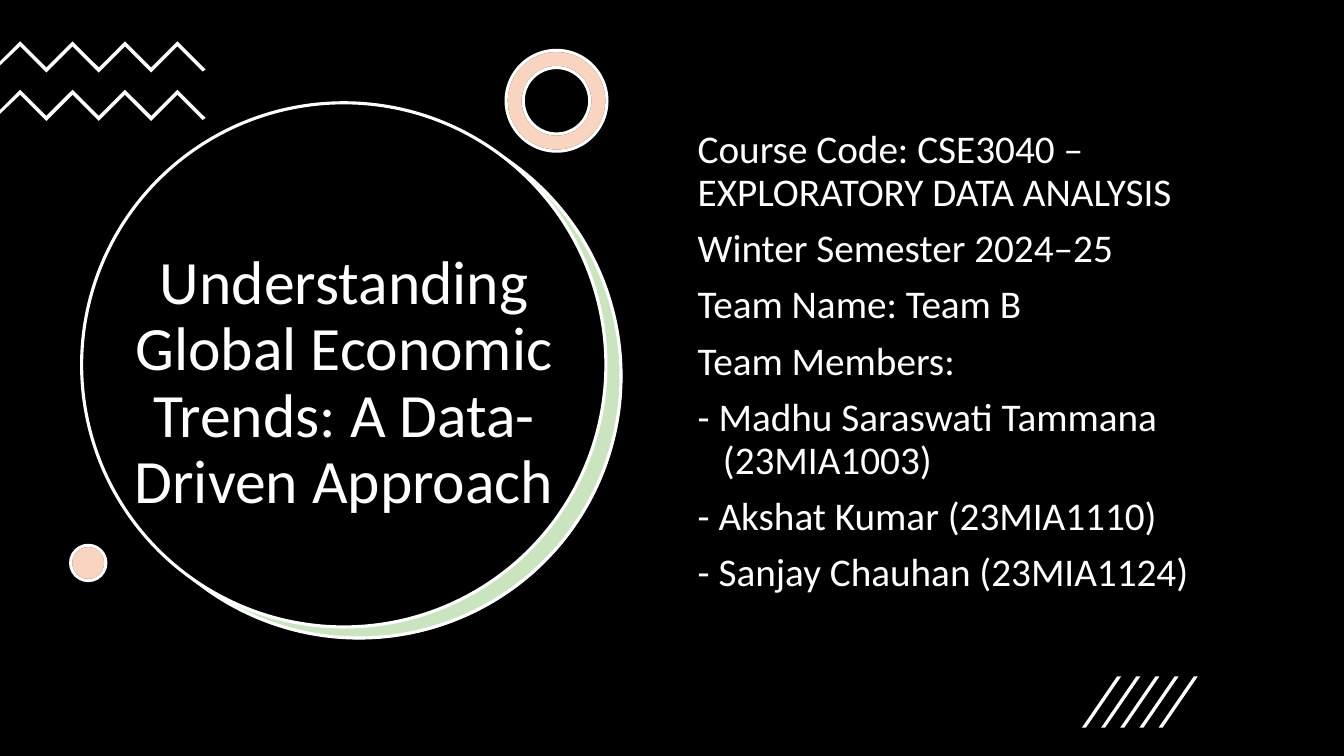
from pptx import Presentation
from pptx.dml.color import RGBColor
from pptx.enum.shapes import MSO_SHAPE
from pptx.enum.text import MSO_ANCHOR, MSO_AUTO_SIZE, PP_ALIGN
from pptx.oxml.ns import qn
from pptx.util import Inches, Pt
from lxml import etree

RECT, OVAL, DONUT = MSO_SHAPE.RECTANGLE, MSO_SHAPE.OVAL, MSO_SHAPE.DONUT
MIDDLE, TOP = MSO_ANCHOR.MIDDLE, MSO_ANCHOR.TOP
LEFT, CENTER = PP_ALIGN.LEFT, PP_ALIGN.CENTER
NO_FIT = MSO_AUTO_SIZE.NONE
BLACK, WHITE, GREEN, ORANGE = "000000", "FFFFFF", "4EA72E", "E97132"
FONT = "Calibri"

TITLE = "Understanding Global Economic Trends: A Data-Driven Approach"
COURSE = [
    "Course Code: CSE3040 – EXPLORATORY DATA ANALYSIS",
    "Winter Semester 2024–25",
    "Team Name: Team B",
]
TEAM = [
    "Team Members:",
    "- Madhu Saraswati Tammana (23MIA1003)",
    "- Akshat Kumar (23MIA1110)",
    "- Sanjay Chauhan (23MIA1124)",
]


def paint(sp, fill, line=None, alpha=None):
    """Fill and outline a shape; alpha is the fill opacity in percent."""
    sp.shadow.inherit = False
    sp.fill.solid()
    sp.fill.fore_color.rgb = RGBColor.from_string(fill)
    if alpha is not None:
        color = sp.element.spPr.find(qn("a:solidFill"))[0]
        etree.SubElement(color, qn("a:alpha")).set("val", str(alpha * 1000))
    if line:
        sp.line.color.rgb = RGBColor.from_string(line)
        sp.line.width = Pt(2.25)
    else:
        sp.line.fill.background()


def add_preset(s, kind, x, y, w, h, fill, line=None, alpha=None):
    sp = s.shapes.add_shape(kind, Inches(x), Inches(y), Inches(w), Inches(h))
    paint(sp, fill, line, alpha)
    return sp


def add_outline(group, points):
    points = [(Inches(x), Inches(y)) for x, y in points]
    builder = group.shapes.build_freeform(*points[0])
    builder.add_line_segments(points[1:], close=True)
    paint(builder.convert_to_shape(), WHITE)


def add_tinted(s, kind, x, y, size):
    """Orange tint laid over a white base of the same form."""
    base = add_preset(s, kind, x, y, size, size, WHITE, BLACK)
    tint = add_preset(s, kind, x, y, size, size, ORANGE, WHITE, 30)
    if kind == DONUT:
        for sp in (base, tint):
            sp.adjustments[0] = 0.17


def add_title_disc(s, x, y, size):
    """Black disc in front of a green crescent."""
    add_preset(s, OVAL, x + 0.16, y + 0.12, size, size, WHITE)
    add_preset(s, OVAL, x + 0.15, y + 0.11, size, size, GREEN, WHITE, 30)
    add_preset(s, OVAL, x, y, size, size, BLACK, WHITE)


def add_zigzags(s, y):
    group = s.shapes.add_group_shape()
    step = 0.26
    for top in (y, y + 0.48):
        ridge = [(0.2 + step * i, top + step * (i % 2)) for i in range(7)]
        under = [(px, py + 0.05) for px, py in reversed(ridge)]
        tip = [(2.04, top + 0.28), (2.01, top + 0.3)]
        edge = [(0, top + 0.24), (0, top + 0.2)]
        add_outline(group, ridge + tip + under + edge)


def add_slashes(s, x, y, height):
    group = s.shapes.add_group_shape()
    for i in range(5):
        left = x + 0.19 * i
        add_outline(group, [(left + 0.04, y + height), (left, y + height),
                            (left + 0.35, y), (left + 0.39, y)])


def place_text(s, sp, x, y, w, h, anchor):
    """Move a placeholder to its box, in front of what is drawn so far."""
    sp.left, sp.top, sp.width, sp.height = map(Inches, (x, y, w, h))
    s.shapes.element.append(sp.element)
    tf = sp.text_frame
    tf.word_wrap = True
    tf.auto_size = NO_FIT
    tf.vertical_anchor = anchor
    return tf


def write(p, text, size, align, before=0):
    p.alignment = align
    p.line_spacing = 0.9
    p.space_before = Pt(before)
    r = p.add_run()
    r.text = text
    r.font.name = FONT
    r.font.size = Pt(size)
    r.font.color.rgb = RGBColor.from_string(WHITE)


def add_title(s, x, y, w, h):
    tf = place_text(s, s.shapes.title, x, y, w, h, MIDDLE)
    write(tf.paragraphs[0], TITLE, 44, CENTER)


def add_course_details(s, x, y, w, h):
    tf = place_text(s, s.placeholders[1], x, y, w, h, TOP)
    for i, text in enumerate(COURSE + TEAM):
        p = tf.paragraphs[0] if i == 0 else tf.add_paragraph()
        write(p, text, 28, LEFT, 10)
        # Team lines hang; no line has a bullet
        hang = Inches(0.25) if text in TEAM else 0
        pPr = p._p.get_or_add_pPr()
        pPr.set("marL", str(hang))
        pPr.set("indent", str(-hang))
        etree.SubElement(pPr, qn("a:buNone"))


def build_cover(prs):
    s = prs.slides.add_slide(prs.slide_layouts[1])
    add_preset(s, RECT, 0, 0, 13.33, 7.5, BLACK)
    # Title side
    add_title_disc(s, 0.81, 1.02, 5.2)
    add_title(s, 1.21, 2.05, 4.41, 3.52)
    # Ornaments around the disc
    add_zigzags(s, 0.41)
    add_tinted(s, DONUT, 5.02, 0.5, 1)
    add_tinted(s, OVAL, 0.7, 5.41, 0.35)
    # Course side
    add_course_details(s, 6.82, 1.24, 5.71, 4.76)
    add_slashes(s, 10.73, 6.71, 0.51)


def main():
    prs = Presentation()
    prs.slide_width, prs.slide_height = Inches(13.33), Inches(7.5)
    build_cover(prs)
    prs.save("out.pptx")


if __name__ == "__main__":
    main()
